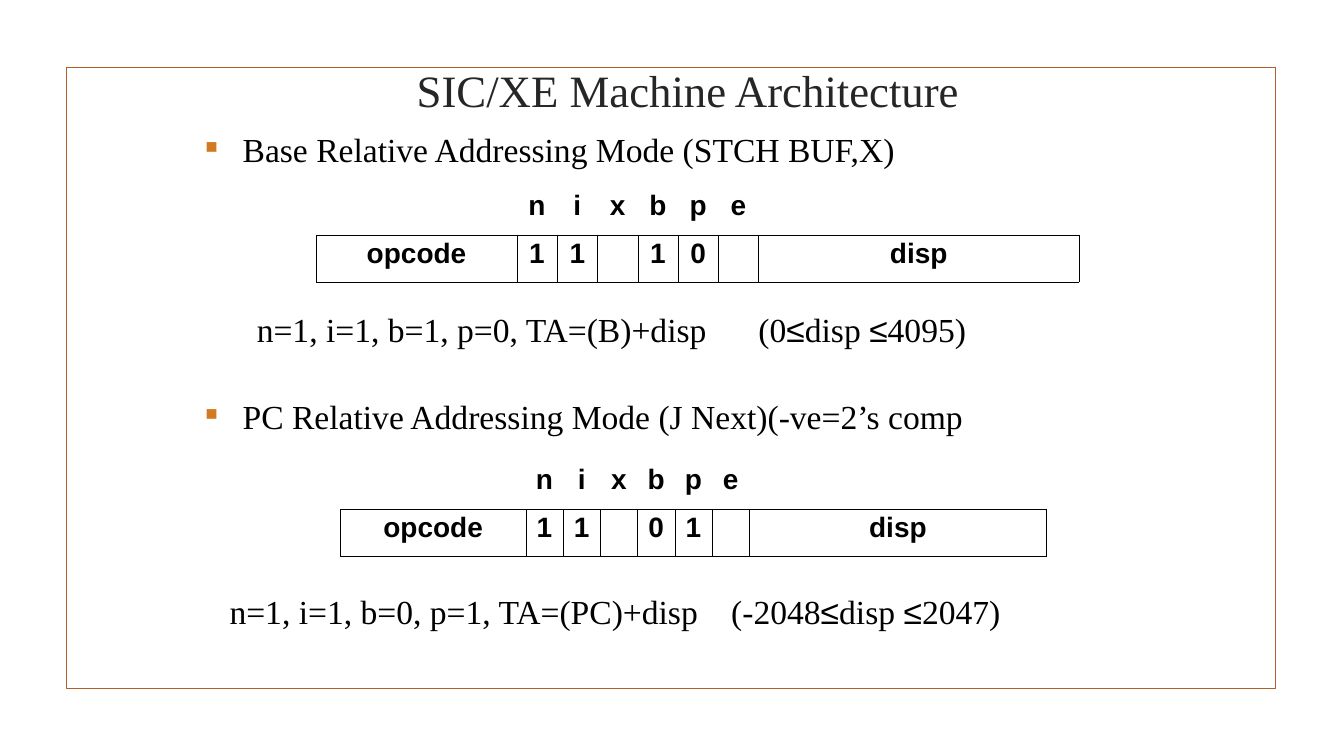
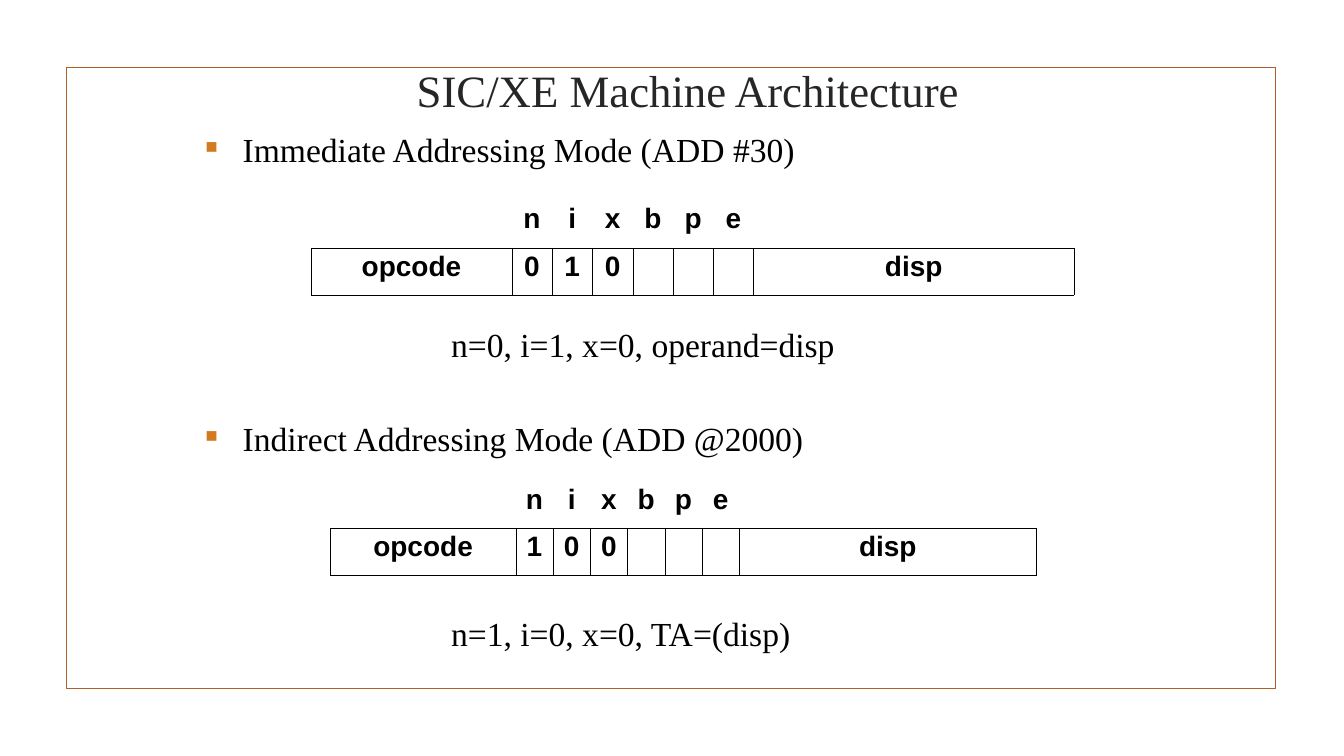
from dataclasses import dataclass
from itertools import groupby

from lxml.etree import SubElement
from pptx import Presentation
from pptx.dml.color import RGBColor
from pptx.enum.shapes import MSO_SHAPE as Shape
from pptx.enum.text import MSO_ANCHOR as Anchor, PP_ALIGN as Align
from pptx.oxml.ns import qn
from pptx.util import Inches, Pt

COLORS = {"frame": "B15E28", "title": "262626", "text": "000000", "bullet": "D37A21"}
SERIF, SANS = "Times New Roman", "Arial"
TITLE = "SIC/XE Machine Architecture"
FLAGS = "nixbpe"
ROW_HEIGHT = 0.47
BORDER_PT = 0.23
RANGE_TAB = 4.98
BULLET_INDENT = 0.37
NO_STYLE = "{2D5ABB26-0587-4C30-8999-92F81FD0307C}"


@dataclass
class Columns:
    opcode: float
    flag: float
    disp: float

    def widths(self) -> list[float]:
        return [self.opcode, *[self.flag] * len(FLAGS), self.disp]


@dataclass
class Mode:
    name: str
    name_top: float
    bits: str
    columns: Columns
    table_left: float
    table_top: float
    rule: str
    rule_left: float
    rule_top: float
    rule_width: float


WIDE = Columns(1.99, 0.4, 3.18)
NARROW = Columns(1.84, 0.37, 2.95)

SLIDES = [
    [
        Mode("Base Relative Addressing Mode (STCH BUF,X)", 1.23,
             "11 10 ", WIDE, 3.14, 1.86,
             "n=1, i=1, b=1, p=0, TA=(B)+disp\t(0≤disp ≤4095)", 2.45, 3.02, 8.51),
        Mode("PC Relative Addressing Mode (J Next)(-ve=2’s comp", 3.88,
             "11 01 ", NARROW, 3.38, 4.58,
             "n=1, i=1, b=0, p=1, TA=(PC)+disp\t(-2048≤disp ≤2047)", 2.18, 5.81, 9.06),
    ],
    [
        Mode("Immediate Addressing Mode (ADD #30)", 1.23,
             "010   ", WIDE, 3.09, 1.99,
             "n=0, i=1, x=0, operand=disp", 4.38, 3.16, 4.8),
        Mode("Indirect Addressing Mode (ADD @2000)", 4.1,
             "100   ", NARROW, 3.28, 4.77,
             "n=1, i=0, x=0, TA=(disp)", 4.38, 6.03, 4.33),
    ],
]


def rgb(name: str) -> RGBColor:
    return RGBColor.from_string(COLORS[name])


def write(tf, text: str, *, size: float = 24, font: str = SERIF, color: str = "text",
          bold: bool = False, align=Align.LEFT, spacing: float | None = None,
          bullet: bool = False) -> None:
    p = tf.paragraphs[0]
    pPr = p._p.get_or_add_pPr()
    if bullet:
        pPr.set("marL", str(Inches(BULLET_INDENT)))
        pPr.set("indent", str(-Inches(BULLET_INDENT)))
        clr = SubElement(pPr, qn("a:buClr"))
        SubElement(clr, qn("a:srgbClr"), val=COLORS["bullet"])
        SubElement(pPr, qn("a:buSzPct"), val="50000")
        SubElement(pPr, qn("a:buChar"), char="■")
    if "\t" in text:
        tabs = SubElement(pPr, qn("a:tabLst"))
        SubElement(tabs, qn("a:tab"), pos=str(Inches(RANGE_TAB)), algn="l")
    p.alignment = align
    if spacing:
        p.line_spacing = spacing
    for is_symbol, chars in groupby(text, key=lambda ch: ch == "≤"):
        r = p.add_run()
        r.text = "".join(chars)
        r.font.name = SANS if is_symbol else font
        r.font.size = Pt(size)
        r.font.bold = bold
        r.font.color.rgb = rgb(color)


def add_text(slide, text: str, left: float, top: float, width: float,
             height: float = 0.63, anchor=Anchor.TOP, **fmt) -> None:
    sp = slide.shapes.add_textbox(Inches(left), Inches(top), Inches(width), Inches(height))
    tf = sp.text_frame
    tf.word_wrap = True
    tf.vertical_anchor = anchor
    write(tf, text, **fmt)


def add_borders(cell, sides: str) -> None:
    tcPr = cell._tc.get_or_add_tcPr()
    for side in sides:
        ln = SubElement(tcPr, qn(f"a:ln{side}"), w=str(Pt(BORDER_PT)))
        fill = SubElement(ln, qn("a:solidFill"))
        SubElement(fill, qn("a:srgbClr"), val=COLORS["text"])


def add_format_table(slide, mode: Mode) -> None:
    widths = mode.columns.widths()
    rows = [["", *FLAGS, ""], ["opcode", *mode.bits, "disp"]]
    frame = slide.shapes.add_table(
        len(rows), len(widths), Inches(mode.table_left), Inches(mode.table_top),
        Inches(sum(widths)), Inches(ROW_HEIGHT * len(rows)))
    table = frame.table
    table.first_row = table.horz_banding = False
    table._tbl.tblPr.find(qn("a:tableStyleId")).text = NO_STYLE
    for column, width in zip(table.columns, widths):
        column.width = Inches(width)
    for i, (values, sides) in enumerate(zip(rows, ("B", "LRTB"))):
        table.rows[i].height = Inches(ROW_HEIGHT)
        for j, value in enumerate(values):
            cell = table.cell(i, j)
            add_borders(cell, sides)
            cell.fill.background()
            if value.strip():
                write(cell.text_frame, value, size=20, font=SANS, bold=True,
                      align=Align.CENTER, spacing=0.93)


def add_base(prs):
    slide = prs.slides.add_slide(prs.slide_layouts[6])
    sp = slide.shapes.add_shape(Shape.RECTANGLE, Inches(0.66), Inches(0.67),
                                Inches(12), Inches(6.16))
    sp.shadow.inherit = False
    sp.fill.background()
    sp.line.color.rgb = rgb("frame")
    sp.line.width = Pt(1.25)
    add_text(slide, TITLE, 0.78, 0.36, 12.1, 1.05, Anchor.MIDDLE,
             size=32, color="title", align=Align.CENTER)
    return slide


def main() -> None:
    prs = Presentation()
    prs.slide_width, prs.slide_height = Inches(13.34), Inches(7.5)
    for modes in SLIDES:
        slide = add_base(prs)
        for mode in modes:
            add_text(slide, mode.name, 1.94, mode.name_top, 9.98, bullet=True)
            add_format_table(slide, mode)
            add_text(slide, mode.rule, mode.rule_left, mode.rule_top, mode.rule_width)
    prs.save("out.pptx")


if __name__ == "__main__":
    main()
